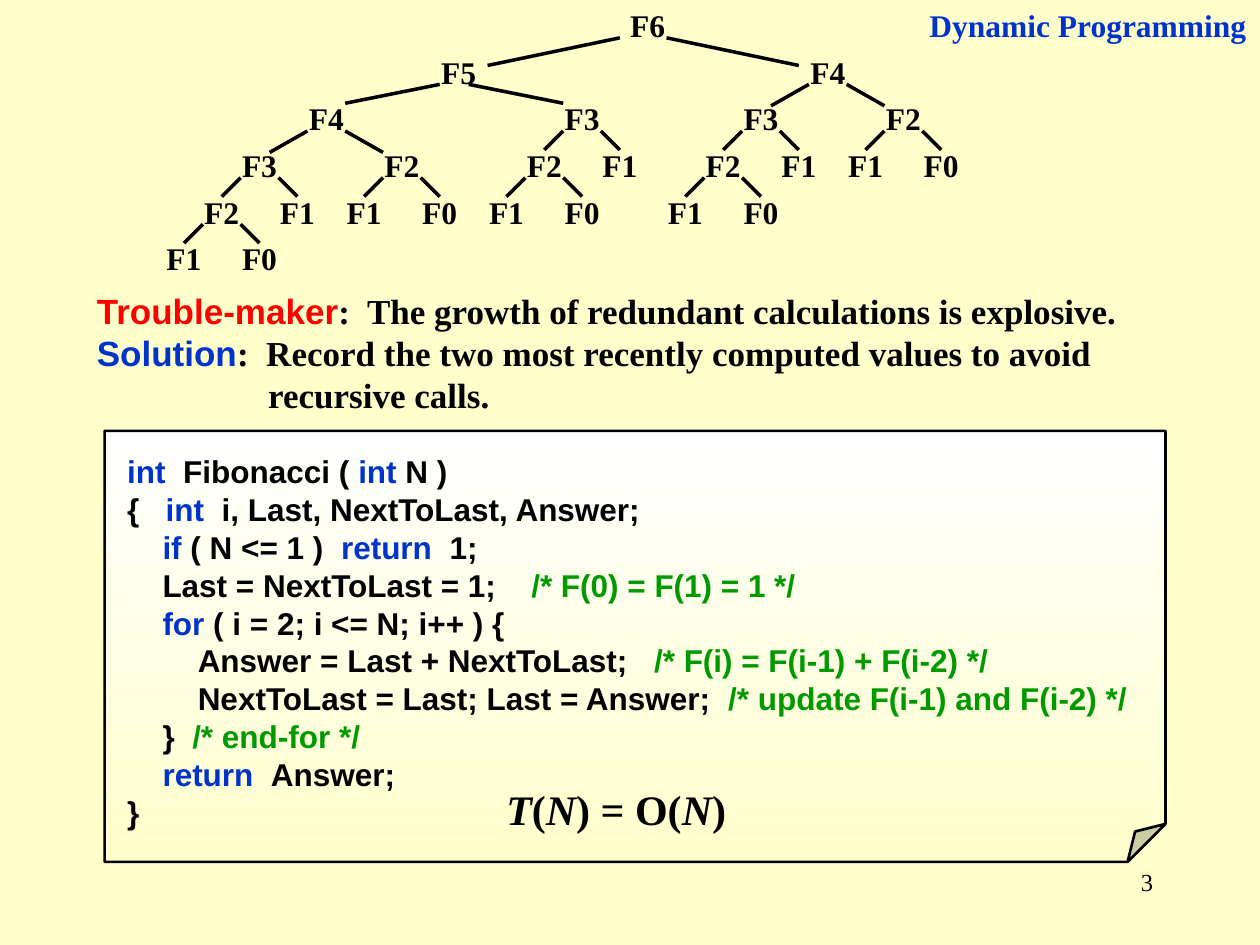
from lxml.etree import SubElement
from pptx import Presentation
from pptx.dml.color import RGBColor
from pptx.enum.shapes import MSO_CONNECTOR, MSO_SHAPE
from pptx.enum.text import MSO_ANCHOR, PP_ALIGN
from pptx.oxml.ns import qn
from pptx.util import Inches, Pt

COLORS = {
    "background": "FFFFCC",
    "paper": "FFFFFF",
    "ink": "000000",
    "keyword": "0033CC",
    "comment": "009900",
    "warning": "FF0000",
}
SERIF, SANS = "Times New Roman", "Arial"

STYLES = {
    "page": (SERIF, 14, "ink", False, False),
    "topic": (SERIF, 18, "keyword", True, False),
    "node": (SERIF, 18, "ink", True, False),
    "trouble": (SANS, 20, "warning", True, False),
    "solution": (SANS, 20, "keyword", True, False),
    "remark": (SERIF, 20, "ink", True, False),
    "code": (SANS, 18, "ink", True, False),
    "keyword": (SANS, 18, "keyword", True, False),
    "comment": (SANS, 18, "comment", True, False),
    "formula": (SERIF, 24, "ink", True, False),
    "variable": (SERIF, 24, "ink", True, True),
}

TROUBLE = [
    ("Trouble-maker", "trouble"),
    (":  The growth of redundant calculations is explosive.", "remark"),
]
SOLUTION = [
    ("Solution", "solution"),
    (":  Record the two most recently computed values to avoid recursive calls.", "remark"),
]
FORMULA = [
    ("T", "variable"), ("(", "formula"), ("N", "variable"),
    (") = O(", "formula"), ("N", "variable"), (")", "formula"),
]
CODE_LINES = [
    (0, [("int", "keyword"), ("  Fibonacci ( ", "code"), ("int", "keyword"), (" N )", "code")]),
    (0, [("{   ", "code"), ("int", "keyword"), ("  i, Last, NextToLast, Answer;", "code")]),
    (1, [("if", "keyword"), (" ( N <= 1 )  ", "code"), ("return", "keyword"), ("  1;", "code")]),
    (1, [("Last = NextToLast = 1;    ", "code"), ("/* F(0) = F(1) = 1 */", "comment")]),
    (1, [("for", "keyword"), (" ( i = 2; i <= N; i++ ) {", "code")]),
    (2, [("Answer = Last + NextToLast;   ", "code"), ("/* F(i) = F(i-1) + F(i-2) */", "comment")]),
    (2, [("NextToLast = Last; Last = Answer;  ", "code"),
         ("/* update F(i-1) and F(i-2) */", "comment")]),
    (1, [("}  ", "code"), ("/* end-for */", "comment")]),
    (1, [("return  ", "keyword"), ("Answer;", "code")]),
    (0, [("}", "code")]),
]
CODE_INDENT = 0.28

BRANCHES = {
    6: ([(-1.5, 0.08, -0.97), (1.43, 0.45, 1.5)], 0.22),
    5: ([(-1.05, 0.15, -0.6), (0.98, 0.38, 1.13)], 0.15),
    4: ([(-0.53, 0.15, -0.15), (0.6, 0.45, 0.75)], 0.17),
    3: ([(-0.3, 0.15, 0), (0.3, 0.45, 0.6)], 0.15),
    2: ([(-0.3, 0.15, 0), (0.3, 0.45, 0.6)], 0.15),
}
LEVEL_STEP = 0.37
NODE_SIZE = (0.6, 0.4)
BRANCH_TOP = 0.3


def rgb(name):
    return RGBColor.from_string(COLORS[name])


def write(paragraph, pieces, align=PP_ALIGN.LEFT, margin=0, first=0):
    paragraph.alignment = align
    properties = paragraph._p.get_or_add_pPr()
    properties.set("marL", str(Inches(margin)))
    properties.set("indent", str(Inches(first)))
    for text, style in pieces:
        run = paragraph.add_run()
        run.text = text
        font = run.font
        font.name, size, color, font.bold, font.italic = STYLES[style]
        font.size = Pt(size)
        font.color.rgb = rgb(color)


def add_text(slide, box, pieces, **layout):
    frame = slide.shapes.add_textbox(*map(Inches, box)).text_frame
    frame.word_wrap = True
    write(frame.paragraphs[0], pieces, **layout)


def add_branch(slide, start, end):
    branch = slide.shapes.add_connector(MSO_CONNECTOR.STRAIGHT, *map(Inches, start + end))
    branch.line.color.rgb = rgb("ink")
    branch.line.width = Pt(2)
    SubElement(branch._element.spPr, qn("a:effectLst"))


def add_call_tree(slide, n, left, top):
    add_text(slide, (left, top, *NODE_SIZE), [(f"F{n}", "node")], align=PP_ALIGN.CENTER)
    if n not in BRANCHES:
        return
    sides, drop = BRANCHES[n]
    for child, (shift, start, end) in zip((n - 1, n - 2), sides):
        branch_top = top + BRANCH_TOP
        add_branch(slide, (left + start, branch_top), (left + end, branch_top + drop))
        add_call_tree(slide, child, left + shift, top + LEVEL_STEP)


def add_code(slide):
    sheet = slide.shapes.add_shape(
        MSO_SHAPE.FOLDED_CORNER, *map(Inches, (0.83, 3.42, 8.42, 3.42)))
    fold = sheet._element.spPr.find(qn("a:prstGeom")).get_or_add_avLst()
    SubElement(fold, qn("a:gd"), name="adj", fmla="val 8800")
    sheet.shadow.inherit = False
    sheet.fill.gradient()
    sheet.fill.gradient_angle = 270
    for stop, position, color in zip(sheet.fill.gradient_stops, (0, 1), ("paper", "background")):
        stop.position = position
        stop.color.rgb = rgb(color)
    sheet.line.color.rgb = rgb("ink")
    sheet.line.width = Pt(1.5)
    frame = sheet.text_frame
    frame.word_wrap = True
    frame.vertical_anchor = MSO_ANCHOR.TOP
    frame.margin_left, frame.margin_top = Inches(0.18), Inches(0.17)
    for row, (depth, pieces) in enumerate(CODE_LINES):
        paragraph = frame.add_paragraph() if row else frame.paragraphs[0]
        write(paragraph, pieces, margin=depth * CODE_INDENT)


def main():
    deck = Presentation()
    deck.slide_width, deck.slide_height = Inches(10), Inches(7.5)
    slide = deck.slides.add_slide(deck.slide_layouts[6])
    slide.background.fill.solid()
    slide.background.fill.fore_color.rgb = rgb("background")

    add_text(slide, (7.17, 6.83, 2.08, 0.5), [("3", "page")], align=PP_ALIGN.RIGHT)
    add_text(slide, (6.5, 0, 3.49, 0.4), [("Dynamic Programming", "topic")], align=PP_ALIGN.RIGHT)
    add_call_tree(slide, 6, 4.84, 0)
    add_text(slide, (0.67, 2.25, 8.5, 0.44), TROUBLE)
    add_text(slide, (0.67, 2.58, 8.42, 0.77), SOLUTION, margin=1.36, first=-1.36)
    add_code(slide)
    add_text(slide, (3.92, 6.17, 2.17, 0.5), FORMULA)
    deck.save("out.pptx")


if __name__ == "__main__":
    main()
